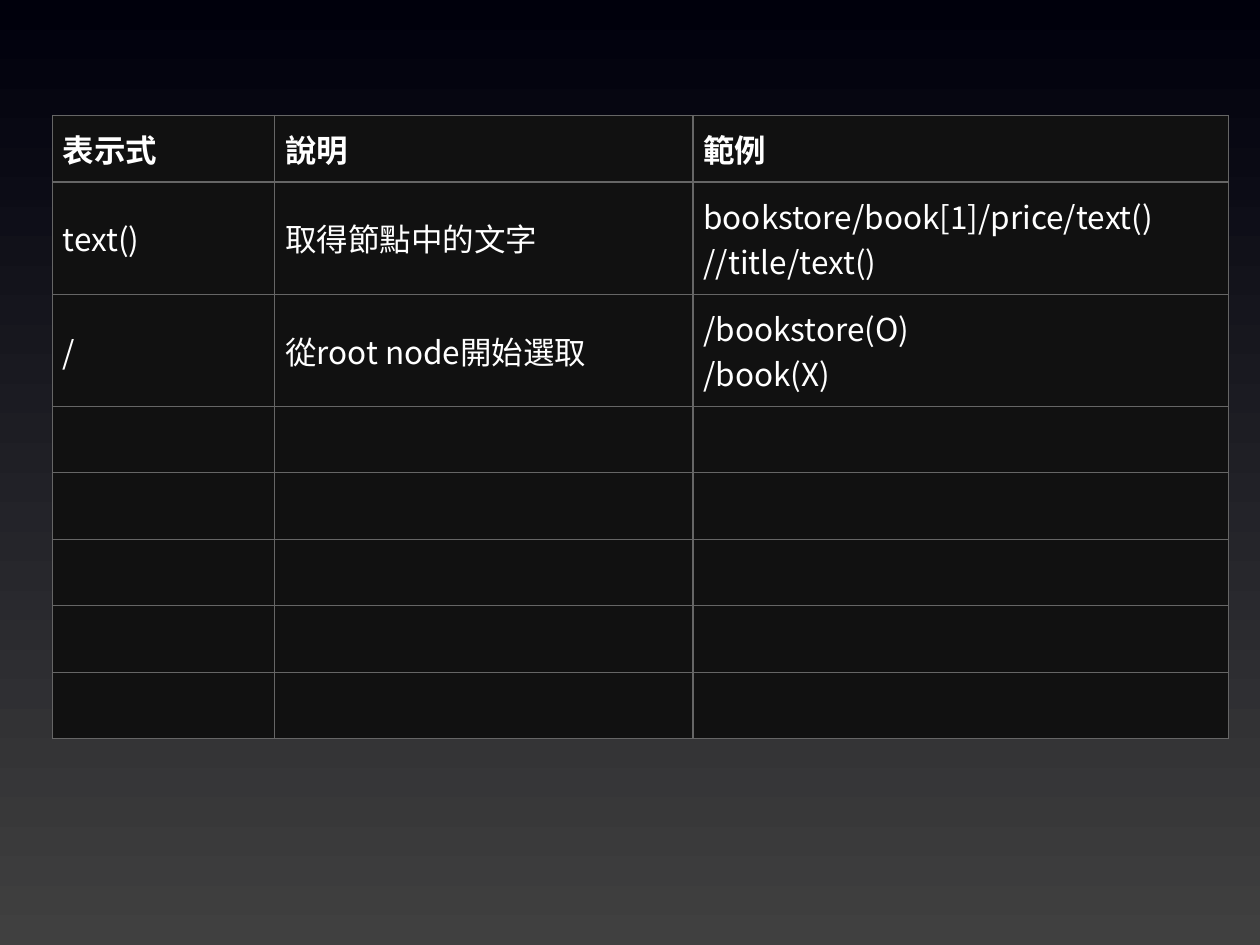
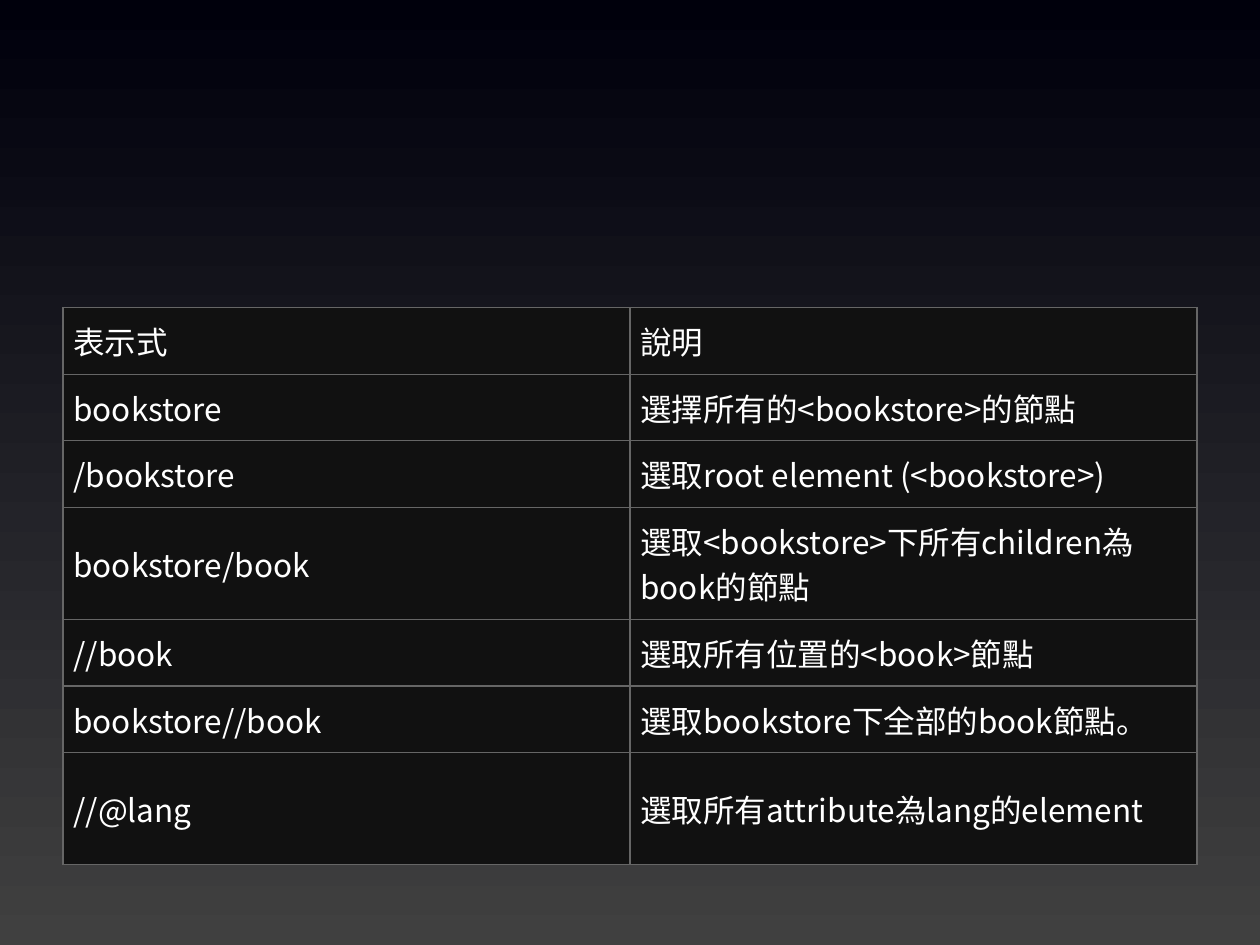
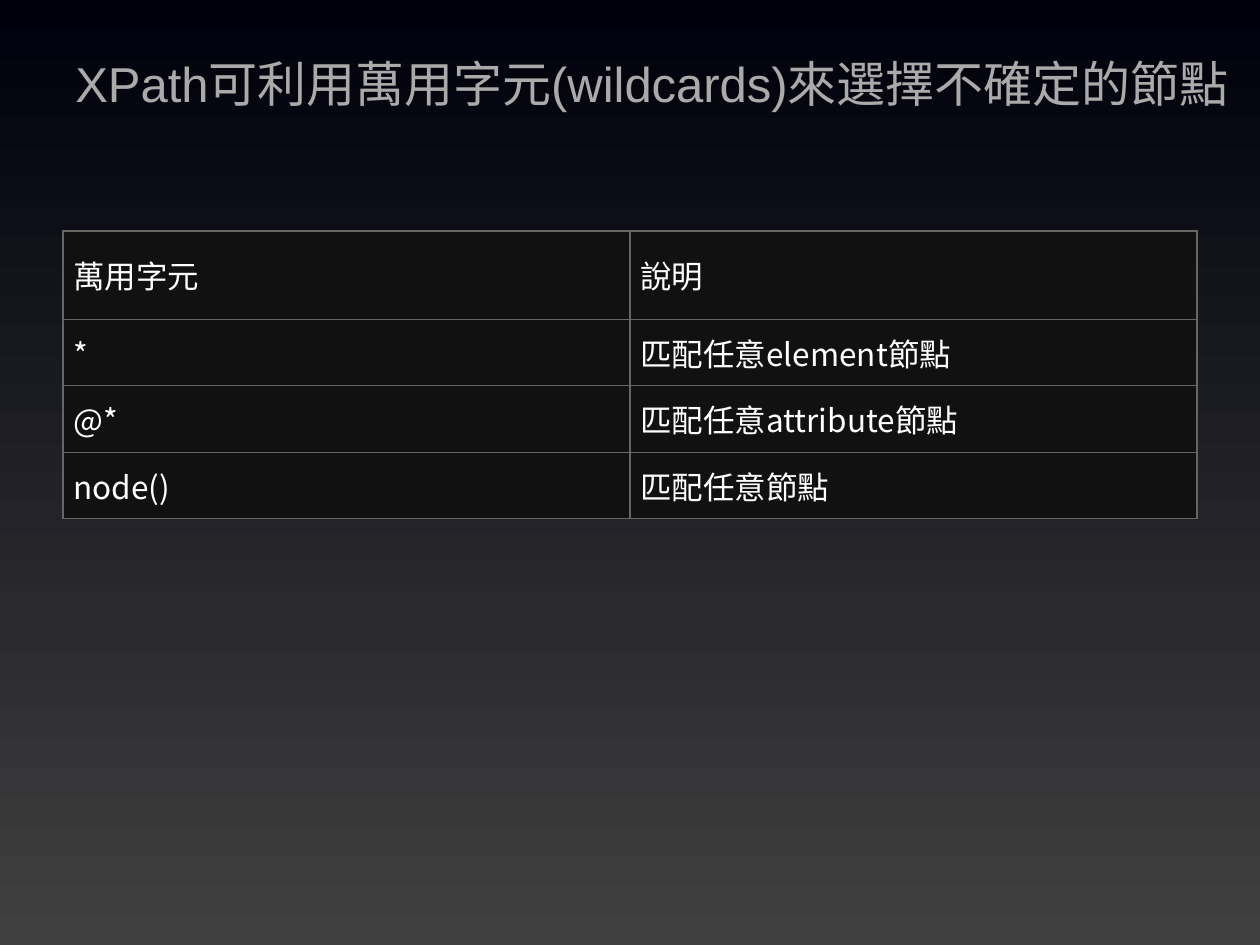
from lxml.etree import SubElement
from pptx import Presentation
from pptx.dml.color import RGBColor
from pptx.enum.text import MSO_ANCHOR
from pptx.oxml.ns import qn
from pptx.util import Pt

# Shared style
TABLE_FONT = "Noto Sans CJK SC"
TITLE_FONT = "Arial"
TEXT_COLOR = "FFFFFF"
TITLE_COLOR = "AAAAAA"
CELL_COLOR = "111111"
BORDER_COLOR = "666666"
GRADIENT_COLORS = ("404040", "00000C")
CELL_INSET = 6
LINE_HEIGHT = 26
ROW_HEIGHT = 38

# Table contents; lines within a cell become paragraphs
EXPRESSION_ROWS = [
    ("表示式", "說明", "範例"),
    ("text()", "取得節點中的文字", "bookstore/book[1]/price/text()\n//title/text()"),
    ("/", "從root node開始選取", "/bookstore(O)\n/book(X)"),
] + [("", "", "")] * 5

PATH_ROWS = [
    ("表示式", "說明"),
    ("bookstore", "選擇所有的<bookstore>的節點"),
    ("/bookstore", "選取root element (<bookstore>)"),
    ("bookstore/book", "選取<bookstore>下所有children為book的節點"),
    ("//book", "選取所有位置的<book>節點"),
    ("bookstore//book", "選取bookstore下全部的book節點。"),
    ("//@lang", "選取所有attribute為lang的element"),
]

WILDCARD_ROWS = [
    ("萬用字元", "說明"),
    ("*", "匹配任意element節點"),
    ("@*", "匹配任意attribute節點"),
    ("node()", "匹配任意節點"),
]


def color(hex_string):
    return RGBColor.from_string(hex_string)


def format_text(text_frame, font_name, size, hex_string, bold=False):
    for paragraph in text_frame.paragraphs:
        for run in paragraph.runs:
            run.font.name = font_name
            run.font.size = Pt(size)
            run.font.bold = bold
            run.font.color.rgb = color(hex_string)
            # East Asian characters use the same font
            SubElement(run.font._element, qn("a:ea"), typeface=font_name)


def set_background(master):
    fill = master.background.fill
    fill.gradient()
    fill.gradient_angle = 90
    for stop, hex_string in zip(fill.gradient_stops, GRADIENT_COLORS):
        stop.color.rgb = color(hex_string)


def add_borders(cell):
    properties = cell._tc.get_or_add_tcPr()
    for side in ("L", "R", "T", "B"):
        line = SubElement(properties, qn(f"a:ln{side}"), w=str(Pt(0.75)))
        fill = SubElement(line, qn("a:solidFill"))
        SubElement(fill, qn("a:srgbClr"), val=BORDER_COLOR)


def format_cell(cell, text, bold):
    cell.margin_left = cell.margin_right = Pt(CELL_INSET)
    cell.margin_top = cell.margin_bottom = Pt(CELL_INSET)
    cell.vertical_anchor = MSO_ANCHOR.MIDDLE
    add_borders(cell)
    cell.fill.solid()
    cell.fill.fore_color.rgb = color(CELL_COLOR)
    cell.text_frame.text = text
    format_text(cell.text_frame, TABLE_FONT, 18, TEXT_COLOR, bold)


def add_grid(slide, left, top, column_widths, rows,
             header_height=ROW_HEIGHT, bold_header=False):
    heights = [ROW_HEIGHT + LINE_HEIGHT * max(text.count("\n") for text in row)
               for row in rows]
    heights[0] = header_height
    shape = slide.shapes.add_table(
        len(rows), len(column_widths), Pt(left), Pt(top),
        Pt(sum(column_widths)), Pt(sum(heights)))
    table = shape.table
    table.first_row = table.horz_banding = False
    for column, width in zip(table.columns, column_widths):
        column.width = Pt(width)
    for row_index, (row, texts) in enumerate(zip(table.rows, rows)):
        row.height = Pt(heights[row_index])
        for cell, text in zip(row.cells, texts):
            format_cell(cell, text, bold_header and row_index == 0)


def add_title(slide, left, top, width, height, text):
    shape = slide.shapes.add_textbox(Pt(left), Pt(top), Pt(width), Pt(height))
    text_frame = shape.text_frame
    text_frame.word_wrap = True
    text_frame.vertical_anchor = MSO_ANCHOR.TOP
    text_frame.text = text
    format_text(text_frame, TITLE_FONT, 28, TITLE_COLOR)


def main():
    presentation = Presentation()
    presentation.slide_width = Pt(720)
    presentation.slide_height = Pt(540)
    set_background(presentation.slide_master)
    blank = presentation.slide_layouts[6]

    # Expressions with examples
    slide = presentation.slides.add_slide(blank)
    add_grid(slide, 30, 66, (127, 239, 306), EXPRESSION_ROWS, bold_header=True)

    # Path expressions
    slide = presentation.slides.add_slide(blank)
    add_grid(slide, 36, 175.75, (324, 324), PATH_ROWS)

    # Wildcards
    slide = presentation.slides.add_slide(blank)
    add_grid(slide, 36, 132, (324, 324), WILDCARD_ROWS, header_height=50.4)
    add_title(slide, 36, 27, 681, 100,
              "XPath可利用萬用字元(wildcards)來選擇不確定的節點")

    presentation.save("out.pptx")


if __name__ == "__main__":
    main()
